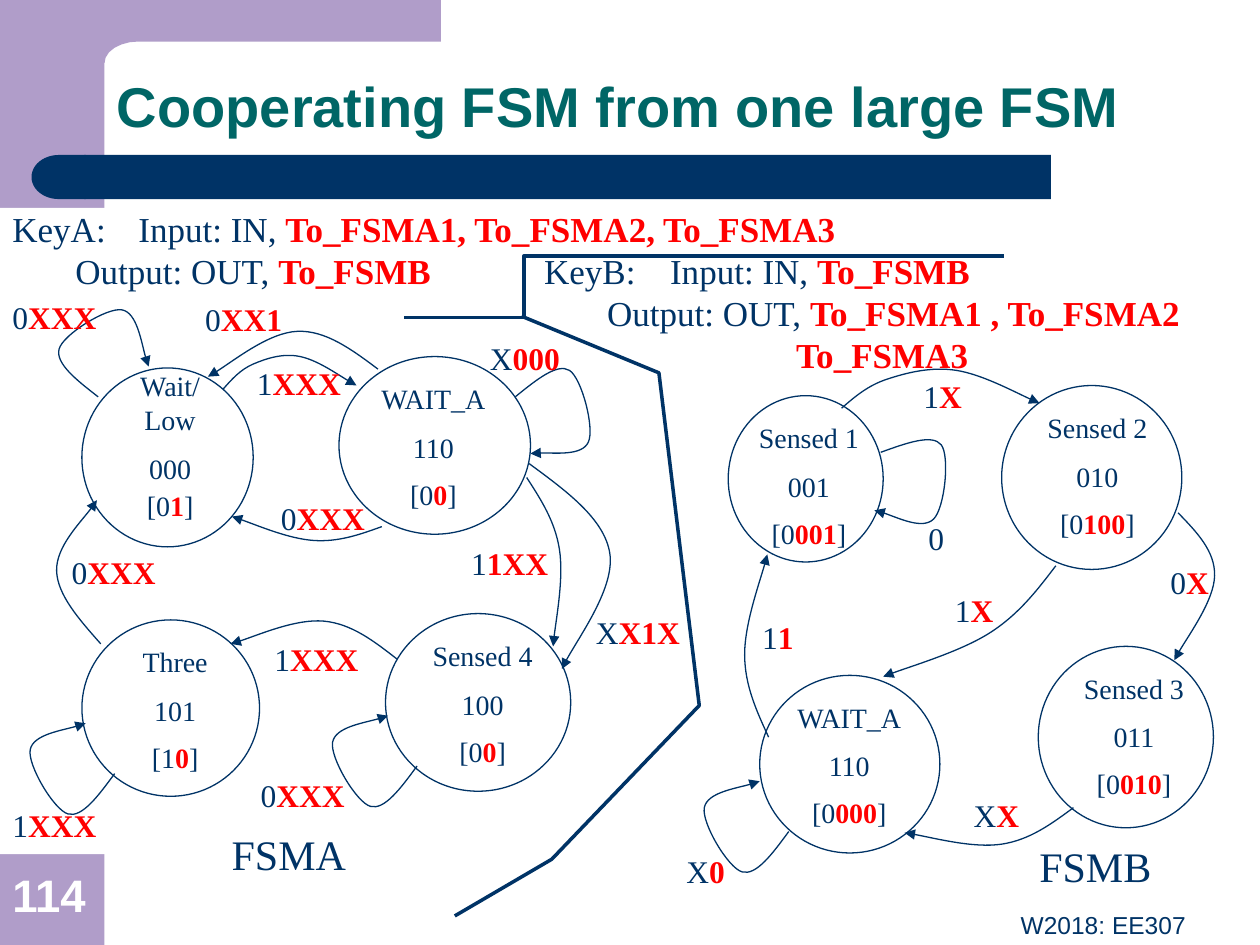
import math

import lxml.etree
import pptx
import pptx.dml.color
import pptx.enum.shapes
import pptx.enum.text
import pptx.oxml.ns
import pptx.util

Inches = pptx.util.Inches
Shape = pptx.enum.shapes.MSO_SHAPE
Align = pptx.enum.text.PP_ALIGN
Anchor = pptx.enum.text.MSO_ANCHOR
qn = pptx.oxml.ns.qn

NAVY, RED, LILAC, WHITE, TEAL = "003366", "FF0000", "B09DC9", "FFFFFF", "006666"

STATES = [
    ("Three\n101", "[1*0*]", (0.65, 4.92, 1.41, 1.4), 1.39),
    ("Sensed 4\n100", "[0*0*]", (3.06, 4.87, 1.47, 1.41), 3.83),
    ("WAIT_A\n110", "[0*0*]", (2.69, 2.83, 1.52, 1.41), 3.44),
    ("Sensed 1\n001", "[0*001*]", (5.78, 3.14, 1.23, 1.32), 6.42),
    ("Sensed 2\n010", "[0*100*]", (7.95, 3.06, 1.43, 1.46), 8.71),
    ("Sensed 3\n011", "[0*010*]", (8.24, 5.13, 1.39, 1.44), 9),
    ("WAIT_A\n110", "[0*000*]", (6.03, 5.36, 1.43, 1.41), 6.74),
]

TRANSITIONS = [
    ("1*XXX*", (1.94, 2.84), [(1.77, 3.09), (2.01, 2.89), (2.38, 2.83), (2.83, 3.06)]),
    ("0*XXX*", (0.47, 4.34), [(0.8, 5.11), (0.45, 4.53), (0.77, 3.97)]),
    ("0*XXX*", (0, 2.32), [(0.78, 3.15), (0.47, 2.77), (0.97, 2.46), (1.18, 2.91)]),
    ("1*XXX*", (2.08, 5.03), [(3.15, 5.23), (2.57, 4.93), (1.83, 5.11)]),
    ("0*XXX*", (2.13, 3.91), [(3.03, 4.18), (2.49, 4.29), (1.84, 4.1)]),
    ("1*1XX*", (3.64, 4.27), [(4.18, 3.79), (4.44, 4.36), (4.39, 5.13)]),
    ("X*000*", (3.79, 2.64), [(4.09, 3.15), (4.52, 2.94), (4.67, 3.51), (4.21, 3.6)]),
    ("X*X1X*", (4.63, 4.82), [(4.2, 3.68), (4.84, 4.39), (4.46, 5.31)]),
    ("0*XX1*", (1.53, 2.33), [(3, 2.93), (2.36, 2.63), (1.65, 2.99)]),
    ("0*X*", (9.19, 4.42), [(9.35, 4.07), (9.64, 4.57), (9.32, 5.24)]),
    ("X*X*", (7.63, 6.27), [(8.52, 6.41), (7.95, 6.7), (7.18, 6.61)]),
    ("1*X*", (7.23, 2.94), [(6.68, 3.24), (7.04, 3.01), (7.59, 2.94), (8.25, 3.2)]),
    ("0", (7.27, 4.07), [(6.99, 3.59), (7.47, 3.53), (7.41, 4.12), (6.94, 4.05)]),
    ("1*X*", (7.48, 4.64), [(8.38, 4.49), (7.86, 5.02), (7.01, 5.37)]),
    ("1*1*", (5.95, 4.86), [(6.1, 5.85), (5.91, 5.2), (6.09, 4.4)]),
]

LOOP = [(0, 0), (-0.37, 0.32), (-0.67, -0.19), (-0.23, -0.4)]
SELF_LOOPS = [
    ("1*XXX*", (0, 6.35), (0.91, 6.14)),
    ("0*XXX*", (1.97, 6.11), (3.31, 6.08)),
    ("X*0*", (5.35, 6.71), (6.26, 6.6)),
]

DIVIDERS = [
    [(3.21, 2.52), (4.16, 2.52), (4.16, 2.03), (7.97, 2.03)],
    [(4.14, 2.51), (5.23, 2.96), (5.55, 5.6), (4.38, 6.82), (3.61, 7.27)],
]


def color(value):
    return pptx.dml.color.RGBColor.from_string(value)


def style(shape, fill=None, line=None, width=0.75):
    shape.shadow.inherit = False
    if fill:
        shape.fill.solid()
        shape.fill.fore_color.rgb = color(fill)
    else:
        shape.fill.background()
    if line:
        shape.line.color.rgb = color(line)
        shape.line.width = pptx.util.Pt(width)
    else:
        shape.line.fill.background()
    return shape


def add_preset(slide, kind, place, **look):
    return style(slide.shapes.add_shape(kind, *map(Inches, place)), **look)


def add_outline(slide, points, close=False, **look):
    (left, top), *rest = [(Inches(x), Inches(y)) for x, y in points]
    builder = slide.shapes.build_freeform(left, top)
    builder.add_line_segments(rest, close=close)
    return style(builder.convert_to_shape(), **look)


def shifted(point, start, end, share):
    return tuple(p + (e - s) * share for p, s, e in zip(point, start, end))


def smooth_points(knots):
    points = [knots[0]]
    last = len(knots) - 1
    for index in range(last):
        here, following = knots[index], knots[index + 1]
        arriving = shifted(following, knots[min(index + 2, last)], here, 1 / 6)
        if index:
            leaving = shifted(here, knots[index - 1], following, 1 / 6)
        else:
            leaving = shifted(here, here, arriving, 1 / 2)
        points += [leaving, arriving, following]
    return points


def add_arrow_curve(slide, knots):
    shape = add_outline(slide, smooth_points(knots), line=NAVY)
    path = next(shape._element.iter(qn("a:path")))
    corners = path.findall(qn("a:lnTo"))
    for first in range(0, len(corners), 3):
        cubic = lxml.etree.SubElement(path, qn("a:cubicBezTo"))
        for corner in corners[first:first + 3]:
            cubic.append(corner[0])
            path.remove(corner)
    lxml.etree.SubElement(shape.line._get_or_add_ln(), qn("a:tailEnd"), type="triangle")


def add_text(slide, text, place, size=18, font="Times New Roman", ink=NAVY, bold=False,
             align=Align.LEFT, anchor=Anchor.TOP, wrap=True, spacing=None, gap=0):
    frame = slide.shapes.add_textbox(*map(Inches, place)).text_frame
    frame.word_wrap = wrap
    frame.vertical_anchor = anchor
    if not wrap:
        frame.auto_size = pptx.enum.text.MSO_AUTO_SIZE.SHAPE_TO_FIT_TEXT
    for row, content in enumerate(text.split("\n")):
        para = frame.add_paragraph() if row else frame.paragraphs[0]
        para.alignment = align
        if spacing:
            para.line_spacing = spacing
        if row and gap:
            para.space_before = pptx.util.Pt(gap)
        for index, part in enumerate(content.split("*")):
            if not part:
                continue
            marked = index % 2 == 1
            span = para.add_run()
            span.text = part
            span.font.name = font
            span.font.size = pptx.util.Pt(size)
            span.font.bold = bold or marked
            span.font.color.rgb = color(RED if marked else ink)


def add_state(slide, name, output, circle, center, name_width=1.1, drop=0.15, height=0.77):
    top = circle[1]
    add_preset(slide, Shape.OVAL, circle, line=NAVY)
    add_text(slide, name, (center - name_width / 2, top + drop, name_width, height),
             size=16, align=Align.CENTER, gap=8.5)
    add_text(slide, output, (center - 0.75, top + 0.97, 1.5, 0.3),
             size=16, align=Align.CENTER, spacing=0.75)


def add_transition(slide, label, place, knots):
    add_arrow_curve(slide, knots)
    letters = len(label.replace("*", ""))
    add_text(slide, label, (*place, 0.3 + 0.17 * letters, 0.4))


def add_frame(slide):
    angles = [math.radians(step * 15) for step in range(7)]
    bend = [(1.1 - 0.27 * math.sin(a), 0.5 - 0.17 * math.cos(a)) for a in angles]
    corner = [(0.5, 0), (3.5, 0), (3.5, 0.33), *bend, (0.5, 0.5)]
    add_preset(slide, Shape.RECTANGLE, (0, 0, 0.83, 7.5), fill=LILAC)
    add_outline(slide, corner, close=True, fill=LILAC)
    add_preset(slide, Shape.RECTANGLE, (0.67, 1.23, 7.67, 0.35), fill=NAVY)
    add_preset(slide, Shape.FLOWCHART_DELAY, (0.25, 1.23, 0.43, 0.35), fill=NAVY).rotation = 180
    add_preset(slide, Shape.RECTANGLE, (0, 1.65, 1, 5.13), fill=WHITE)
    add_text(slide, "Cooperating FSM from one large FSM", (0.83, 0.33, 9.17, 0.83), size=32,
             font="Arial", ink=TEAL, bold=True, anchor=Anchor.BOTTOM, spacing=0.9)
    add_text(slide, "W2018: EE307", (3.42, 7.17, 6.09, 0.52), size=14, font="Arial",
             align=Align.RIGHT)
    add_text(slide, "114", (0, 6.83, 0.9, 0.53), size=26, font="Arial", ink=WHITE, bold=True,
             anchor=Anchor.BOTTOM)


def main():
    deck = pptx.Presentation()
    deck.slide_width, deck.slide_height = Inches(10), Inches(7.5)
    page = deck.slides.add_slide(deck.slide_layouts[6])
    add_frame(page)
    add_state(page, "Wait/Low\n000", "[0*1*]", (0.65, 2.92, 1.36, 1.42), 1.35,
              name_width=0.76, drop=-0.04, height=1.04)
    for state in STATES:
        add_state(page, *state)
    for transition in TRANSITIONS:
        add_transition(page, *transition)
    for label, place, (left, top) in SELF_LOOPS:
        add_transition(page, label, place, [(left + x, top + y) for x, y in LOOP])
    for points in DIVIDERS:
        add_outline(page, points, line=NAVY, width=2)
    add_text(page, "KeyA: \tInput: IN, *To_FSMA1, To_FSMA2, To_FSMA3*\n\tOutput: OUT, *To_FSMB*",
             (0, 1.6, 6.86, 0.77), size=20, wrap=False)
    add_text(page, "KeyB: \tInput: IN, *To_FSMB*\n\tOutput: OUT, *To_FSMA1 , To_FSMA2*\n"
             "*\t\t\t\tTo_FSMA3*", (4.22, 1.93, 5.8, 1.11), size=20, wrap=False)
    for name, left, top in [("FSMA", 1.74, 6.53), ("FSMB", 8.15, 6.62)]:
        add_text(page, name, (left, top, 1.12, 0.5), size=24, wrap=False)
    deck.save("out.pptx")


if __name__ == "__main__":
    main()
